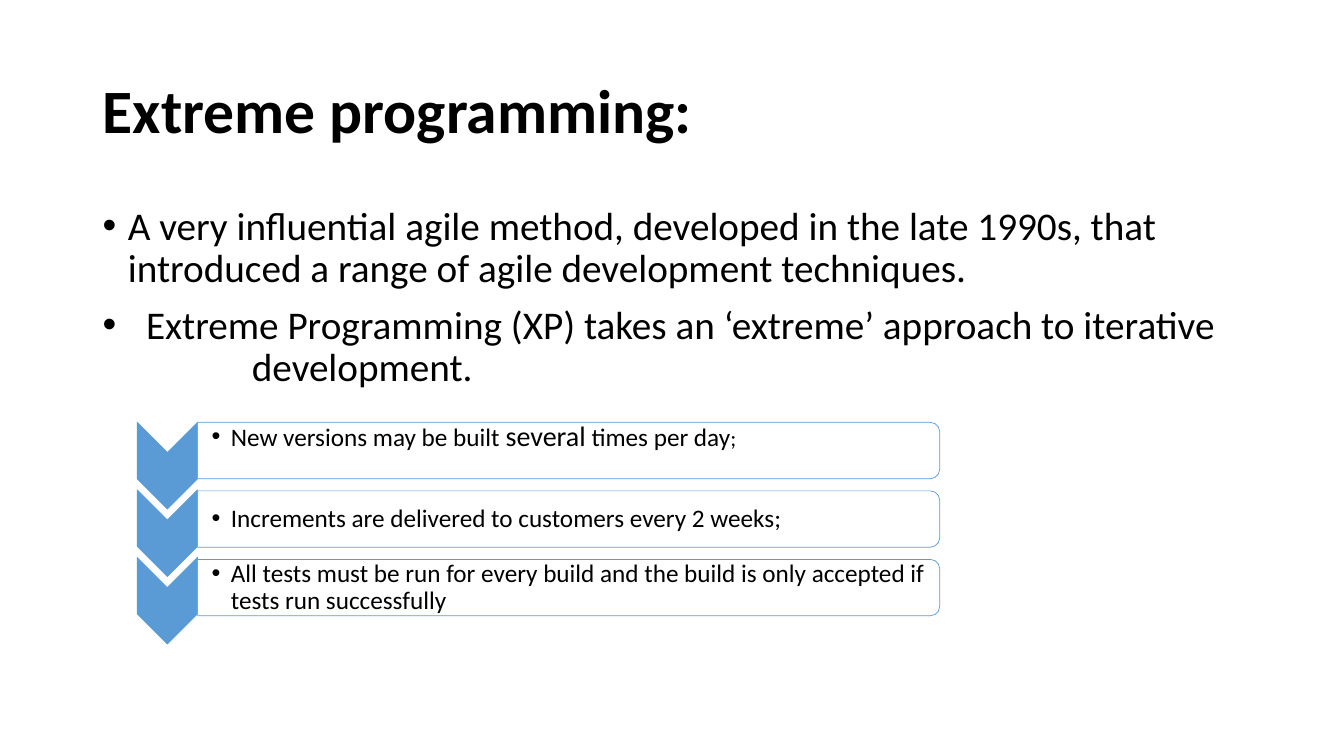
import pptx
import pptx.util
import pptx.dml.color
import pptx.enum.shapes
import pptx.enum.text
import pptx.oxml
import pptx.oxml.ns
from lxml import etree

COLORS = {"text": "000000", "accent": "5B9BD5", "panel": "FFFFFF"}
FONT = "Calibri"
SLIDE_W, SLIDE_H = 13.33, 7.5
Inches, Pt = pptx.util.Inches, pptx.util.Pt
SHAPES = pptx.enum.shapes.MSO_SHAPE
ANCHOR = pptx.enum.text.MSO_ANCHOR

BODY_POINTS = [
    ("A very influential agile method, developed in the late 1990s, that "
     "introduced a range of agile development techniques.", 0.25),
    ("Extreme Programming (XP) takes an ‘extreme’ approach to iterative"
     "\v\tdevelopment.", 0.43),
]
# Each practice: its runs as (text, size), and how far its text is raised
PRACTICES = [
    ([("New versions may be built ", 18), ("several", 20),
      (" times per day", 18), (";", 16)], 0.13),
    ([("Increments are delivered to customers every 2 weeks;", 18)], 0),
    ([("All tests must be run for every build and the build is only "
       "accepted if tests run successfully", 18)], 0),
]


def rgb(name):
    return pptx.dml.color.RGBColor.from_string(COLORS[name])


def style_font(font, size, bold=False):
    font.name, font.size, font.bold = FONT, Pt(size), bold
    font.color.rgb = rgb("text")


def add_bullet(paragraph, indent, tab=None):
    """Give the paragraph a hanging bullet and, if asked, a tab stop."""
    props = paragraph._p.get_or_add_pPr()
    props.set("marL", str(Inches(indent)))
    props.set("indent", str(-Inches(indent)))
    qn = pptx.oxml.ns.qn
    etree.SubElement(props, qn("a:buFont"), typeface="Arial")
    etree.SubElement(props, qn("a:buChar"), char="•")
    if tab:
        stops = etree.SubElement(props, qn("a:tabLst"))
        etree.SubElement(stops, qn("a:tab"), pos=str(Inches(tab)), algn="l")
    paragraph.line_spacing = 0.9


def add_title(slide, left, top, width, height):
    title = slide.shapes.title
    title.left, title.top = Inches(left), Inches(top)
    title.width, title.height = Inches(width), Inches(height)
    title.text_frame.text = "Extreme programming:"
    title.text_frame.vertical_anchor = ANCHOR.MIDDLE
    heading = title.text_frame.paragraphs[0]
    heading.alignment = pptx.enum.text.PP_ALIGN.LEFT
    heading.line_spacing = 0.9
    style_font(heading.runs[0].font, 44, bold=True)


def add_body(slide, left, top, width, height):
    body = slide.shapes.add_textbox(
        Inches(left), Inches(top), Inches(width), Inches(height)).text_frame
    body.word_wrap = True
    for index, (text, indent) in enumerate(BODY_POINTS):
        point = body.add_paragraph() if index else body.paragraphs[0]
        point.text = text
        add_bullet(point, indent, tab=1.48 if "\t" in text else None)
        if index:
            point.space_before = Pt(10)
        for run in point.runs:
            style_font(run.font, 28)


def add_turned_shape(slide, kind, center_x, center_y, width, height, fill):
    """Add a shape turned by 90 degrees; width and height are as seen."""
    shape = slide.shapes.add_shape(
        kind, Inches(center_x - height / 2), Inches(center_y - width / 2),
        Inches(height), Inches(width))
    shape.rotation = 90
    shape.shadow.inherit = False
    shape.fill.solid()
    shape.fill.fore_color.rgb = rgb(fill)
    shape.line.color.rgb = rgb("accent")
    shape.line.width = Pt(0.5)
    return shape


def add_practice_text(slide, runs, left, top, width, height):
    frame = slide.shapes.add_textbox(
        Inches(left), Inches(top), Inches(width), Inches(height)).text_frame
    frame.word_wrap = True
    frame.vertical_anchor = ANCHOR.MIDDLE
    frame.margin_left = Inches(0.14)
    frame.margin_top = frame.margin_right = frame.margin_bottom = Inches(0.01)
    practice = frame.paragraphs[0]
    add_bullet(practice, 0.19)
    for text, size in runs:
        run = practice.add_run()
        run.text = text
        style_font(run.font, size)


def add_practices(slide, left, top, width):
    """Stack the chevrons, each with a rounded bar beside it."""
    chevron_w, chevron_h, chevron_pitch = 0.6, 0.86, 0.67
    bar_h, bar_pitch, text_h = 0.56, 0.68, 0.5
    bar_left, bar_w = left + chevron_w, width - chevron_w
    for row, (runs, lift) in enumerate(PRACTICES):
        add_turned_shape(slide, SHAPES.CHEVRON, left + chevron_w / 2,
                         top + chevron_h / 2 + row * chevron_pitch,
                         chevron_w, chevron_h, "accent")
        bar_y = top + bar_h / 2 + row * bar_pitch
        add_turned_shape(slide, SHAPES.ROUND_2_SAME_RECTANGLE,
                         bar_left + bar_w / 2, bar_y, bar_w, bar_h, "panel")
        add_practice_text(slide, runs, bar_left, bar_y - text_h / 2 - lift,
                          bar_w - 0.03, text_h)


def main():
    deck = pptx.Presentation()
    deck.slide_width, deck.slide_height = Inches(SLIDE_W), Inches(SLIDE_H)
    slide = deck.slides.add_slide(deck.slide_layouts[5])
    margin = 0.92
    content_w = SLIDE_W - 2 * margin
    add_title(slide, margin, 0.4, content_w, 1.45)
    add_body(slide, margin, 2, content_w, 4.76)
    add_practices(slide, 1.36, 4.19, 7.96)
    deck.save("out.pptx")


if __name__ == "__main__":
    main()
